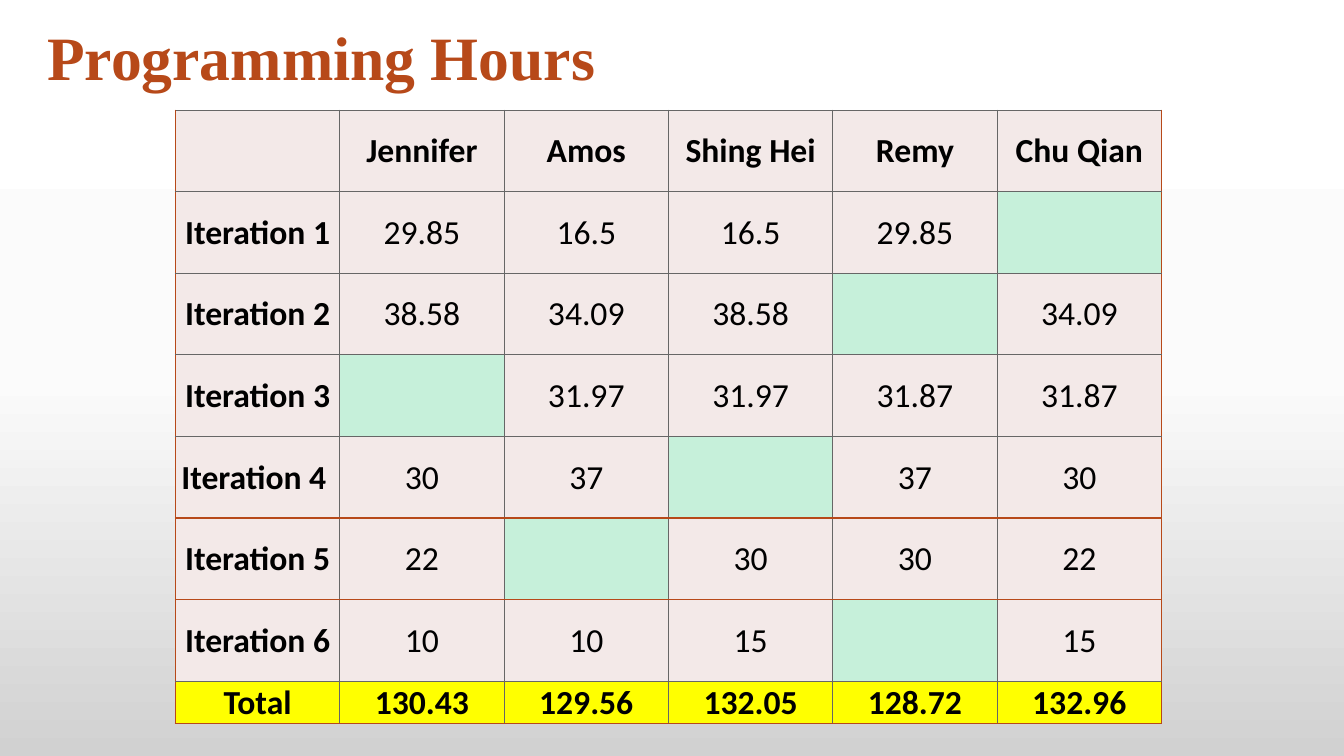
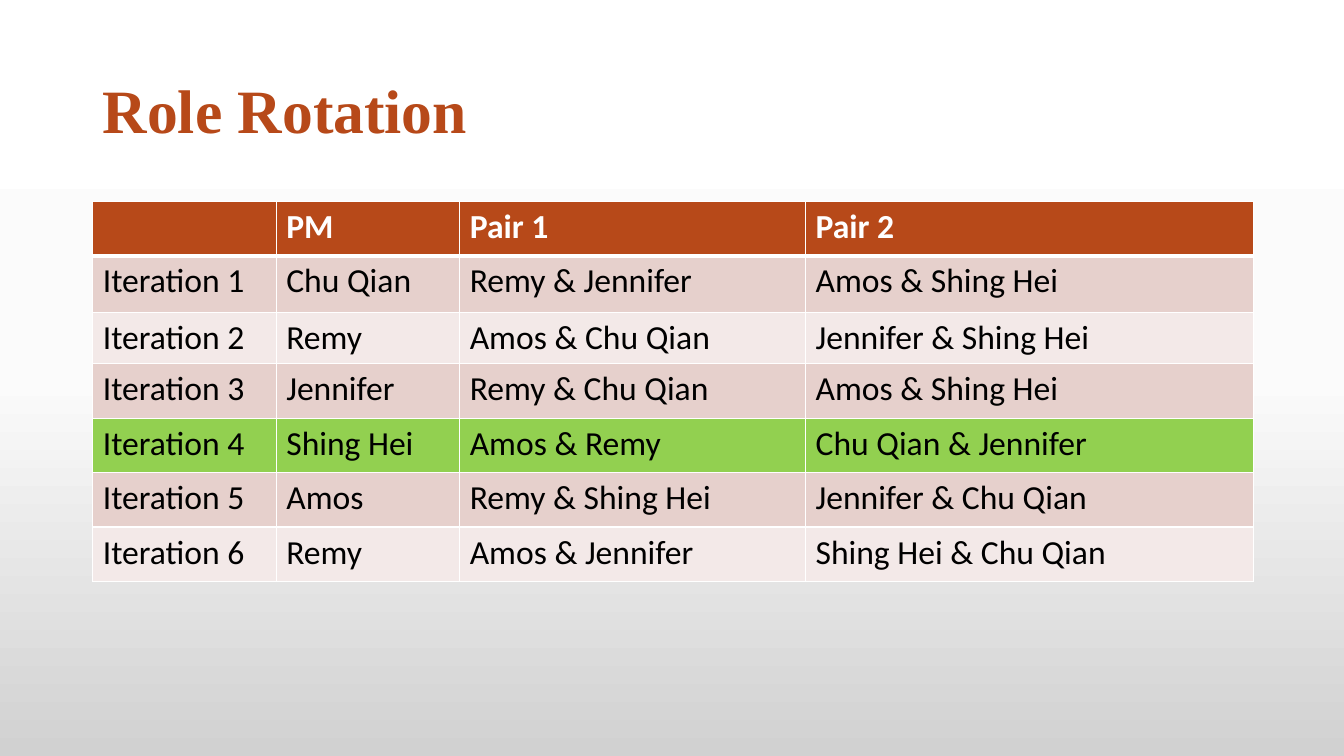
"""Builds two slides of a team project deck: programming hours and role rotation."""
from copy import deepcopy
from dataclasses import dataclass, field
from typing import Any

from lxml import etree
from pptx import Presentation
from pptx import util as u
from pptx.dml import color
from pptx.enum import text
from pptx.oxml import ns

COLORS = {
    "rust": "B74919", "white": "FFFFFF", "black": "000000", "grey": "666666",
    "blush": "F3E9E8", "rose": "E6D0CC", "mint": "C6F0DA",
    "yellow": "FFFF00", "green": "92D050", "mist": "FBFBFB", "silver": "D1D1D1",
}
BACKGROUND = [(0, "white"), (50, "mist"), (100, "silver")]
TITLE_FONT = {"name": "Times New Roman", "size": u.Pt(44), "bold": True}
CELL_FONT = {"name": "Calibri", "size": u.Pt(24)}
Line = tuple[str, float]


@dataclass
class Grid:
    left: float
    top: float
    cols: list[float]
    rows: list[float]
    cells: list[list[str]]
    fills: list[str]
    inner: Line
    sides: Line
    rules: dict[int, Line] = field(default_factory=dict)
    blank_fill: str = ""
    header_color: str = "black"
    bold_rows: tuple[int, ...] = (0,)
    bold_first_col: bool = False
    cell_format: dict[str, Any] = field(default_factory=dict)
    align: Any = None


@dataclass
class Page:
    title: str
    title_box: tuple[float, float, float, float]
    grid: Grid


def rgb(name: str) -> color.RGBColor:
    return color.RGBColor.from_string(COLORS[name])


def apply(target: Any, values: dict[str, Any]) -> None:
    for key, value in values.items():
        setattr(target, key, value)


def line_xml(tag: str, line: Line) -> Any:
    name, width = line
    ln = etree.Element(ns.qn(f"a:{tag}"), w=str(int(u.Pt(width))))
    fill = etree.SubElement(ln, ns.qn("a:solidFill"))
    etree.SubElement(fill, ns.qn("a:srgbClr"), val=COLORS[name])
    return ln


def paint_background(s: Any) -> None:
    fill = s.background.fill
    fill.gradient()
    fill.gradient_angle = 270
    stops = s._element.find(".//" + ns.qn("a:gsLst"))
    stops.append(deepcopy(stops[-1]))
    for stop, (position, name) in zip(fill.gradient_stops, BACKGROUND):
        stop.color.rgb = rgb(name)
        stop.position = position / 100


def add_title(s: Any, title: str, box: tuple[float, float, float, float]) -> None:
    tf = s.shapes.add_textbox(*map(u.Inches, box)).text_frame
    apply(tf, {"word_wrap": True, "vertical_anchor": text.MSO_ANCHOR.MIDDLE})
    p = tf.paragraphs[0]
    p.line_spacing = 0.9
    r = p.add_run()
    r.text = title
    apply(r.font, TITLE_FONT)
    r.font.color.rgb = rgb("rust")
    r.font._element.insert(0, line_xml("ln", ("white", 0.75)))


def add_grid(s: Any, grid: Grid) -> None:
    n_rows, n_cols = len(grid.rows), len(grid.cols)
    box = (grid.left, grid.top, sum(grid.cols), sum(grid.rows))
    table = s.shapes.add_table(n_rows, n_cols, *map(u.Inches, box)).table
    apply(table, {"first_row": False, "horz_banding": False})
    for column, width in zip(table.columns, grid.cols):
        column.width = u.Inches(width)
    for row, height in zip(table.rows, grid.rows):
        row.height = u.Inches(height)
    for i, values in enumerate(grid.cells):
        for j, value in enumerate(values):
            cell = table.cell(i, j)
            apply(cell, grid.cell_format)
            blank = grid.blank_fill and i and not value
            cell.fill.solid()
            cell.fill.fore_color.rgb = rgb(grid.blank_fill if blank else grid.fills[i])
            borders = {
                "lnL": grid.inner if j else grid.sides,
                "lnR": grid.inner if j < n_cols - 1 else grid.sides,
                "lnT": grid.rules.get(i, grid.inner),
                "lnB": grid.rules.get(i + 1, grid.inner),
            }
            for k, (tag, line) in enumerate(borders.items()):
                cell._tc.tcPr.insert(k, line_xml(tag, line))
            if value:
                p = cell.text_frame.paragraphs[0]
                p.alignment = grid.align
                r = p.add_run()
                r.text = value
                apply(r.font, CELL_FONT)
                r.font.bold = i in grid.bold_rows or (grid.bold_first_col and j == 0)
                r.font.color.rgb = rgb("black" if i else grid.header_color)


HOURS = Grid(
    left=1.74, top=1.09, cols=[1.63] * 6, rows=[0.81] * 7 + [0.42],
    cells=[
        ["", "Jennifer", "Amos", "Shing Hei", "Remy", "Chu Qian"],
        ["Iteration 1", "29.85", "16.5", "16.5", "29.85", ""],
        ["Iteration 2", "38.58", "34.09", "38.58", "", "34.09"],
        ["Iteration 3", "", "31.97", "31.97", "31.87", "31.87"],
        ["Iteration 4 ", "30", "37", "", "37", "30"],
        ["Iteration 5", "22", "", "30", "30", "22"],
        ["Iteration 6", "10", "10", "15", "", "15"],
        ["Total", "130.43", "129.56", "132.05", "128.72", "132.96"],
    ],
    fills=["blush"] * 7 + ["yellow"],
    inner=("grey", 0.5), sides=("rust", 1),
    rules={5: ("rust", 1), 6: ("rust", 1), 8: ("rust", 1)},
    blank_fill="mint", bold_rows=(0, 7), bold_first_col=True,
    cell_format={
        "margin_left": u.Inches(0.01), "margin_right": u.Inches(0.01),
        "margin_top": u.Inches(0.01), "margin_bottom": 0,
        "vertical_anchor": text.MSO_ANCHOR.MIDDLE,
    },
    align=text.PP_ALIGN.CENTER,
)

ROLES = Grid(
    left=0.92, top=2, cols=[1.82, 1.82, 3.43, 4.44],
    rows=[0.54, 0.56, 0.51] + [0.54] * 4,
    cells=[
        ["", "PM", "Pair 1", "Pair 2"],
        ["Iteration 1", "Chu Qian", "Remy & Jennifer", "Amos & Shing Hei"],
        ["Iteration 2", "Remy", "Amos & Chu Qian", "Jennifer & Shing Hei"],
        ["Iteration 3", "Jennifer", "Remy & Chu Qian", "Amos & Shing Hei"],
        ["Iteration 4", "Shing Hei", "Amos & Remy", "Chu Qian & Jennifer"],
        ["Iteration 5", "Amos", "Remy & Shing Hei", "Jennifer & Chu Qian"],
        ["Iteration 6", "Remy", "Amos & Jennifer", "Shing Hei & Chu Qian"],
    ],
    fills=["rust", "rose", "blush", "rose", "green", "rose", "blush"],
    inner=("white", 1), sides=("white", 1), rules={1: ("white", 3)},
    header_color="white",
)

PAGES = [
    Page("Programming Hours", (0.37, 0.12, 11.35, 0.97), HOURS),
    Page("Role Rotation", (0.92, 0.4, 11.5, 1.45), ROLES),
]


def main() -> None:
    prs = Presentation()
    apply(prs, {"slide_width": u.Inches(13.33), "slide_height": u.Inches(7.5)})
    for page in PAGES:
        s = prs.slides.add_slide(prs.slide_layouts[6])
        paint_background(s)
        add_title(s, page.title, page.title_box)
        add_grid(s, page.grid)
    prs.save("out.pptx")


main()
